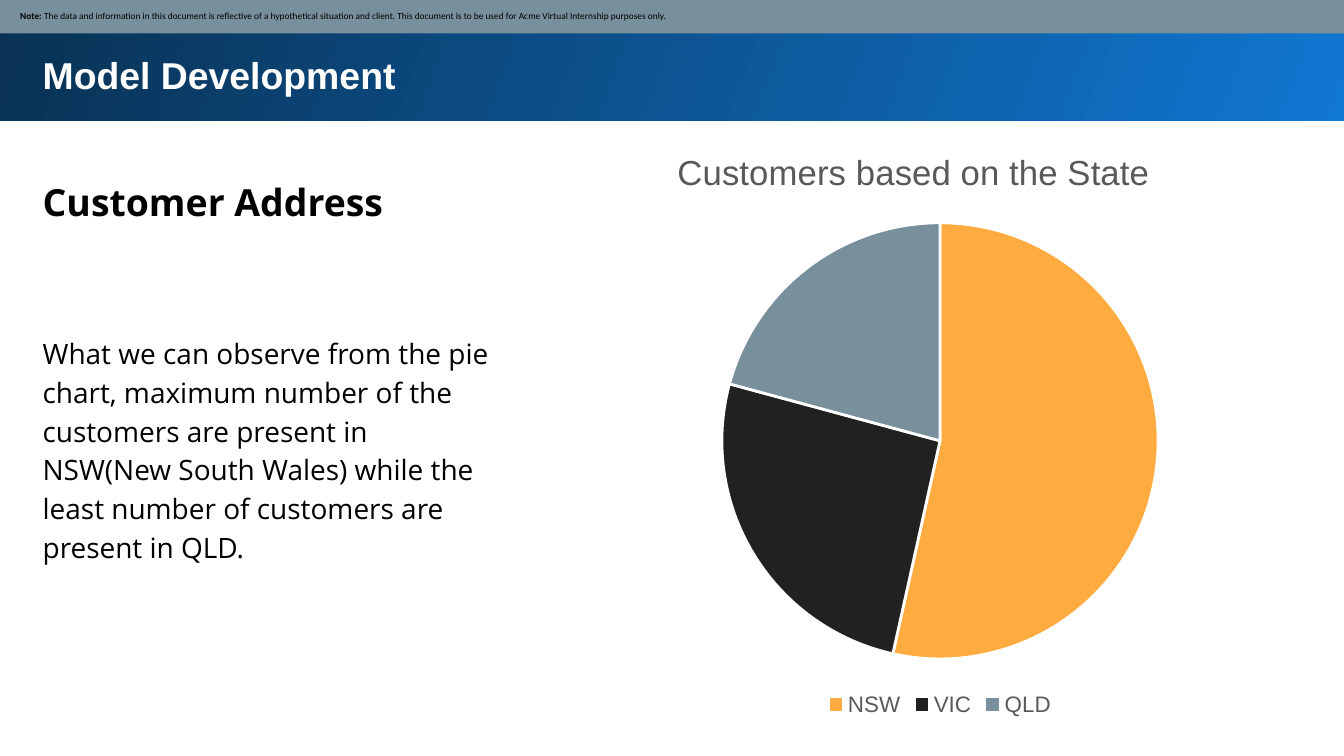
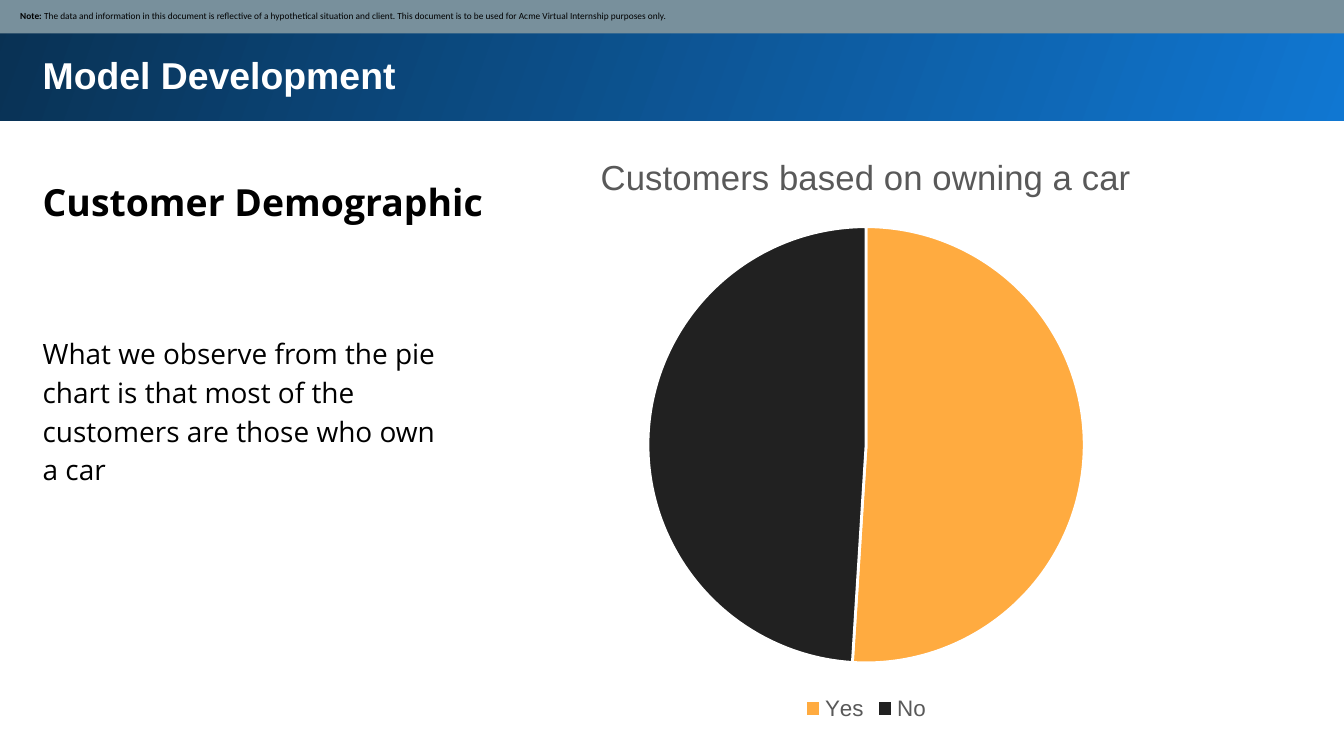
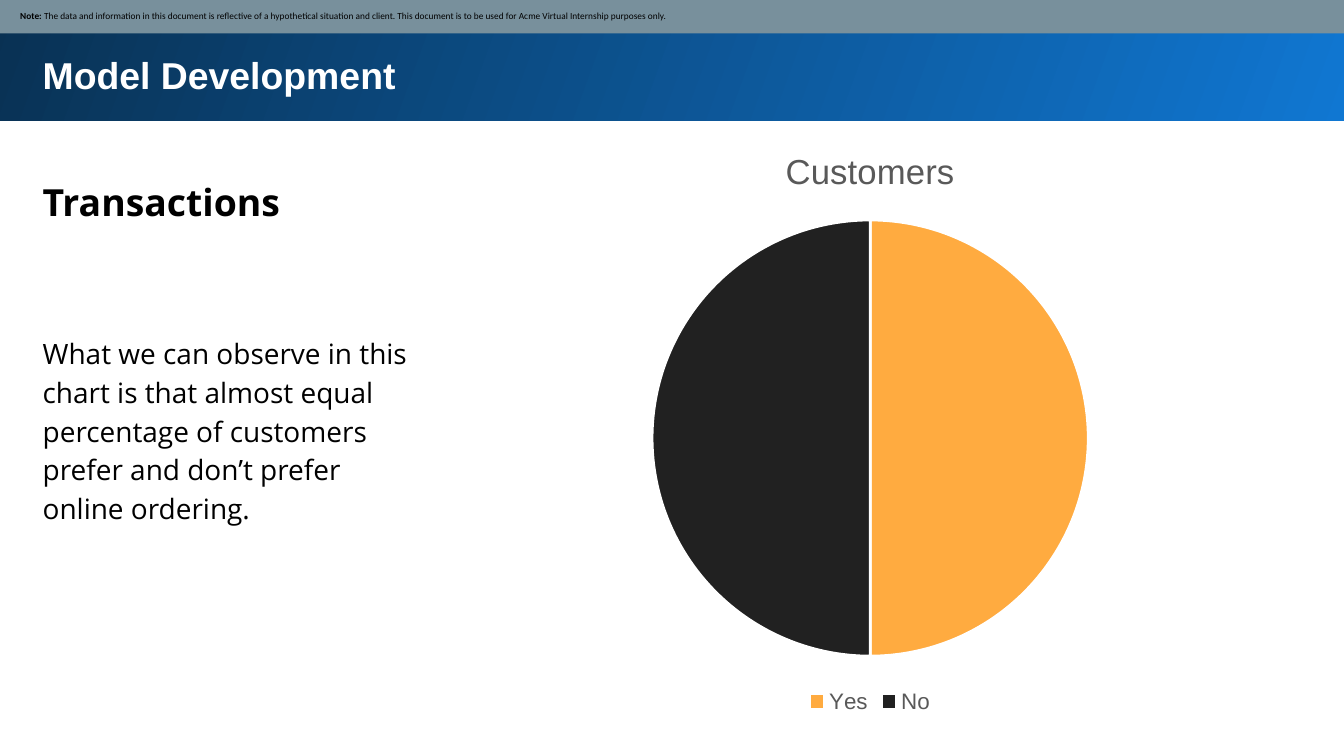
import pptx
import pptx.chart.data
import pptx.dml.color
import pptx.enum.chart
import pptx.enum.shapes
import pptx.enum.text
import pptx.oxml
import pptx.util

Pt = pptx.util.Pt

SLIDE_WIDTH, SLIDE_HEIGHT = 720, 405
ORANGE, CHARCOAL, SLATE = "FFAB40", "212121", "78909C"
BRIGHT_BLUE, NAVY = "1077D2", "093153"
BLACK, WHITE, GREY = "000000", "FFFFFF", "595959"
SLICE_COLOURS = [ORANGE, CHARCOAL, SLATE]

BAND_BOX = (-1.4, -1.4, 723.4, 66.2)
TITLE_BOX = (15.8, 20.9, 674.6, 36.7)
NOTE_BOX = (-0.7, -0.7, 722, 18.7)
HEADING_BOX = (15.8, 85, 674.6, 41)
OBSERVATION_LEFT, OBSERVATION_TOP = 15.8, 170.6
CHART_SIZE = (480.2, 319.7)

DISCLAIMER = (
    "The data and information in this document is reflective of a hypothetical "
    "situation and client. This document is to be used for Acme Virtual "
    "Internship purposes only."
)

PAGES = [
    dict(
        heading="Customer Address",
        observation="What we can observe from the pie chart, maximum number of the "
        "customers are present in NSW(New South Wales) while the least number of "
        "customers are present in QLD.",
        observation_size=(257, 118),
        chart_title="Customers based on the State",
        title_offset=(0.2, 0.03),
        series_name="Series 1",
        shares={"NSW": 54, "VIC": 26, "QLD": 21},
        chart_corner=(263.5, 67),
    ),
    dict(
        heading="Customer Demographic",
        observation="What we observe from the pie chart is that most of the "
        "customers are those who own a car",
        observation_size=(232.6, 76.3),
        chart_title="Customers based on owning a car",
        series_name="Series 1",
        shares={"Yes": 51, "No": 49},
        chart_corner=(223.9, 69.1),
    ),
    dict(
        heading="Transactions",
        observation="What we can observe in this chart is that almost equal "
        "percentage of customers prefer and don’t prefer online ordering.",
        observation_size=(210.2, 118),
        chart_title="Customers",
        series_name="Customers",
        shares={"Yes": 50, "No": 50},
        chart_corner=(226.1, 65.5),
    ),
]


def colour(hex_string):
    return pptx.dml.color.RGBColor.from_string(hex_string)


def points(box):
    return [Pt(length) for length in box]


def style_font(font, name, size, hex_string, bold=False):
    font.name = name
    font.size = Pt(size)
    font.bold = bold
    font.color.rgb = colour(hex_string)


def add_run(paragraph, text, font="Arial", size=20, hex_string=BLACK, bold=False, spacing=None):
    run = paragraph.add_run()
    run.text = text
    style_font(run.font, font, size, hex_string, bold)
    if spacing:
        paragraph.line_spacing = spacing


def add_text_box(slide, box, text, **text_format):
    frame = slide.shapes.add_textbox(*points(box)).text_frame
    frame.word_wrap = True
    frame.auto_size = pptx.enum.text.MSO_AUTO_SIZE.SHAPE_TO_FIT_TEXT
    frame.margin_left = frame.margin_right = Pt(7.2)
    frame.margin_top = frame.margin_bottom = Pt(7.2)
    add_run(frame.paragraphs[0], text, **text_format)


def add_band(slide, box):
    band = slide.shapes.add_shape(pptx.enum.shapes.MSO_SHAPE.RECTANGLE, *points(box))
    band.shadow.inherit = False
    band.line.fill.background()
    return band


def add_header(slide, box, title):
    fill = add_band(slide, box).fill
    fill.gradient()
    fill.gradient_angle = 160
    for stop, position, shade in zip(fill.gradient_stops, (0, 1), (BRIGHT_BLUE, NAVY)):
        stop.position = position
        stop.color.rgb = colour(shade)
    add_text_box(slide, TITLE_BOX, title, hex_string=WHITE, bold=True)


def add_note(slide, box):
    note = add_band(slide, box)
    note.fill.solid()
    note.fill.fore_color.rgb = colour(SLATE)
    frame = note.text_frame
    frame.word_wrap = True
    frame.vertical_anchor = pptx.enum.text.MSO_ANCHOR.MIDDLE
    frame.margin_left = Pt(11.5)
    frame.margin_right = frame.margin_top = frame.margin_bottom = Pt(3.6)
    paragraph = frame.paragraphs[0]
    paragraph.alignment = pptx.enum.text.PP_ALIGN.LEFT
    add_run(paragraph, "Note: ", font="Calibri", size=5, bold=True)
    add_run(paragraph, DISCLAIMER, font="Calibri", size=5)


def move_chart_title(chart, across, down):
    """Place the title's corner at fractions of the chart's width and height."""
    layout = pptx.oxml.parse_xml(
        '<c:layout xmlns:c="http://schemas.openxmlformats.org/drawingml/2006/chart">'
        '<c:manualLayout><c:xMode val="edge"/><c:yMode val="edge"/>'
        f'<c:x val="{across}"/><c:y val="{down}"/></c:manualLayout></c:layout>'
    )
    title = chart.chart_title._element
    for old_layout in title.findall(layout.tag):
        title.remove(old_layout)
    title.tx.addnext(layout)


def add_share_pie(slide, box, title, series_name, shares, title_offset=None):
    data = pptx.chart.data.CategoryChartData()
    data.categories = list(shares)
    data.add_series(series_name, list(shares.values()))
    chart = slide.shapes.add_chart(
        pptx.enum.chart.XL_CHART_TYPE.PIE, *points(box), data
    ).chart
    style_font(chart.font, "Arial", 10, BLACK)

    chart.has_title = True
    heading = chart.chart_title.text_frame.paragraphs[0]
    add_run(heading, title, size=18.6, hex_string=GREY)
    chart.chart_title.include_in_layout = False
    if title_offset:
        move_chart_title(chart, *title_offset)

    chart.has_legend = True
    chart.legend.position = pptx.enum.chart.XL_LEGEND_POSITION.BOTTOM
    chart.legend.include_in_layout = False
    style_font(chart.legend.font, "Arial", 12, GREY)

    pie = chart.plots[0]
    pie.vary_by_categories = True
    for index, shade in zip(range(len(shares)), SLICE_COLOURS):
        piece = pie.series[0].points[index].format
        piece.fill.solid()
        piece.fill.fore_color.rgb = colour(shade)
        piece.line.color.rgb = colour(WHITE)
        piece.line.width = Pt(1.5)


def add_page(deck, page):
    slide = deck.slides.add_slide(deck.slide_layouts[6])
    slide.background.fill.solid()
    slide.background.fill.fore_color.rgb = colour(WHITE)
    add_header(slide, BAND_BOX, "Model Development")
    add_text_box(slide, HEADING_BOX, page["heading"], font="Open Sans", bold=True, spacing=1.15)
    add_text_box(
        slide,
        (OBSERVATION_LEFT, OBSERVATION_TOP, *page["observation_size"]),
        page["observation"],
        font="Open Sans",
        size=15,
        spacing=1.15,
    )
    add_note(slide, NOTE_BOX)
    add_share_pie(
        slide,
        (*page["chart_corner"], *CHART_SIZE),
        page["chart_title"],
        page["series_name"],
        page["shares"],
        page.get("title_offset"),
    )


def main():
    deck = pptx.Presentation()
    deck.slide_width, deck.slide_height = Pt(SLIDE_WIDTH), Pt(SLIDE_HEIGHT)
    for page in PAGES:
        add_page(deck, page)
    deck.save("out.pptx")


if __name__ == "__main__":
    main()
